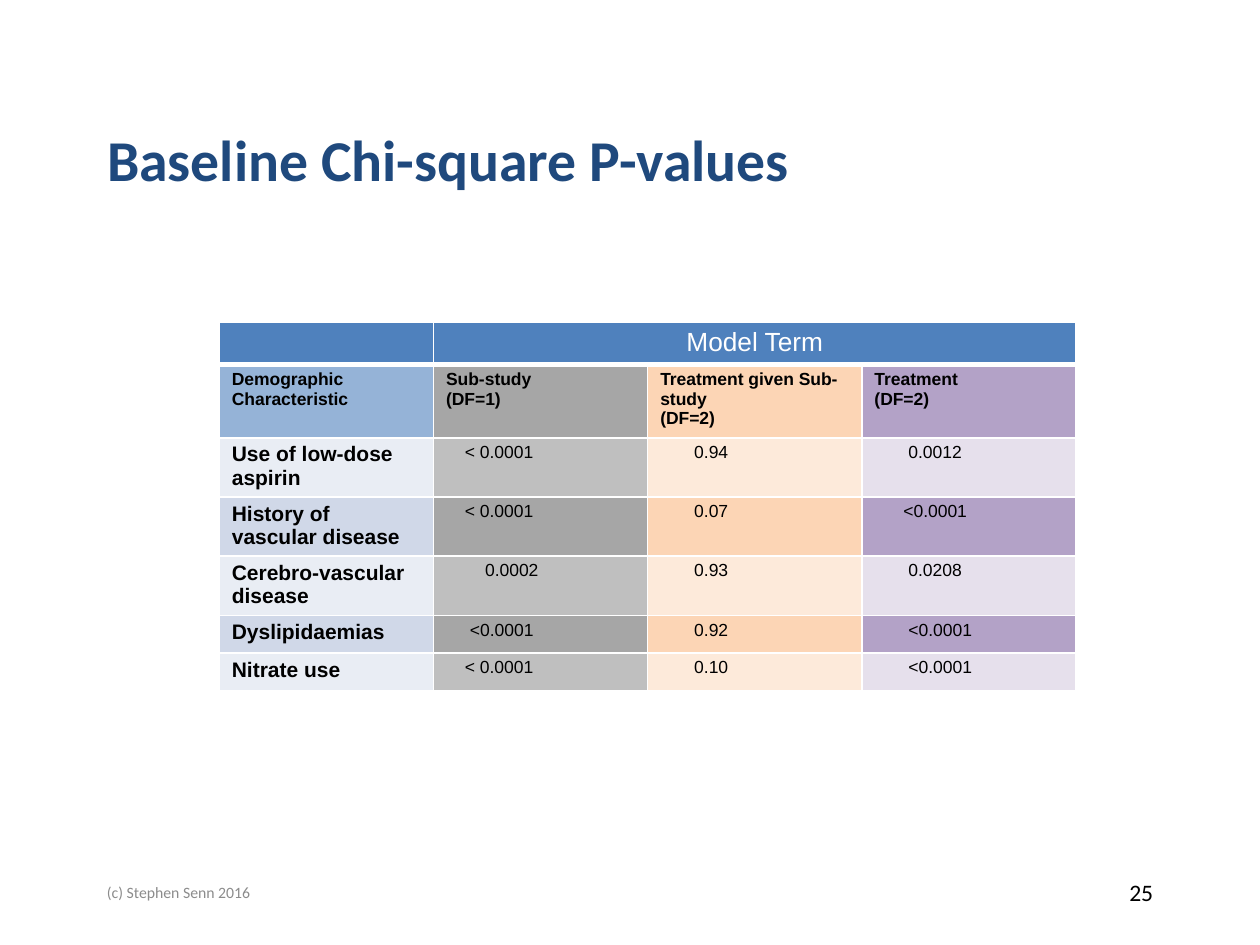
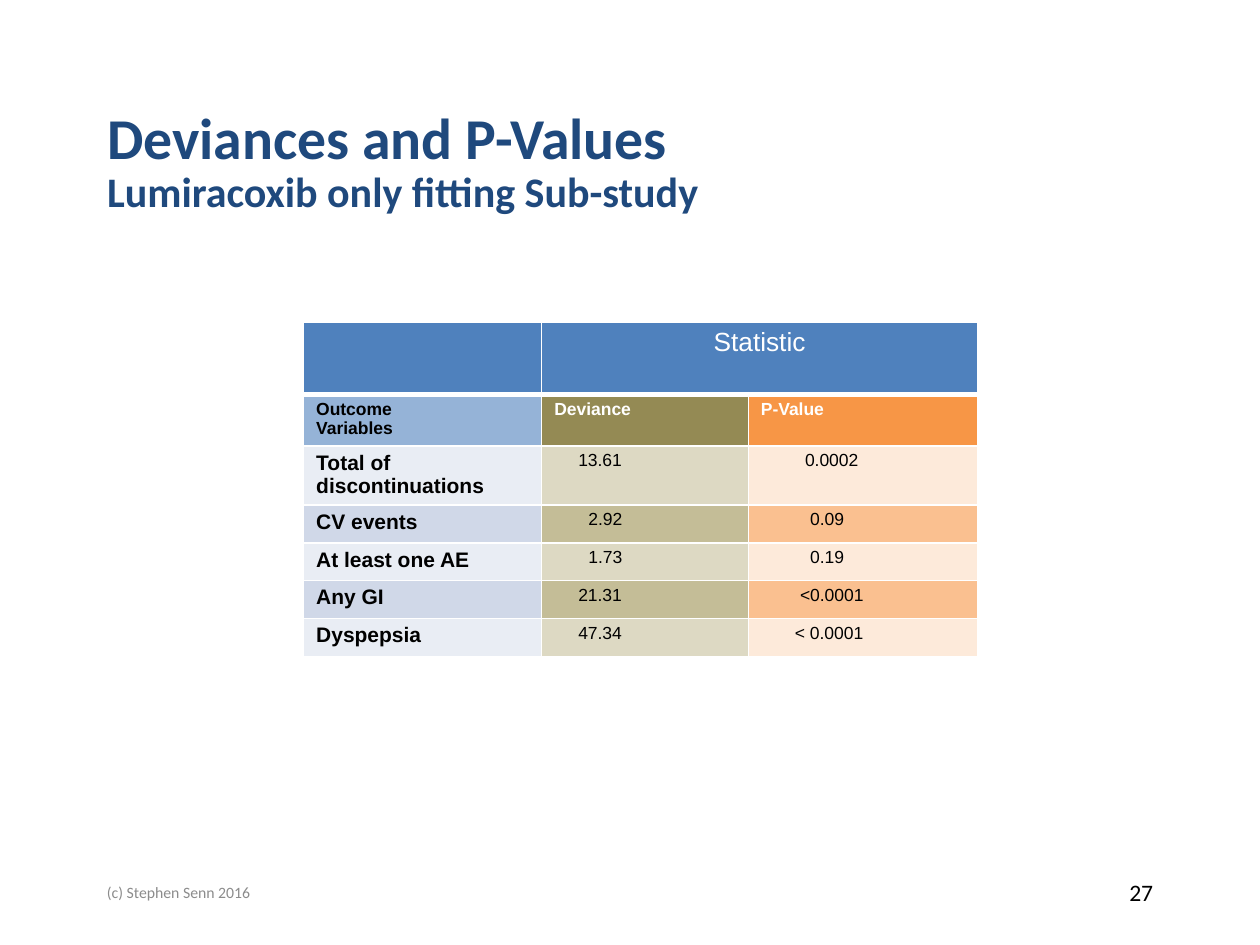
from dataclasses import dataclass

from lxml import etree
from pptx import Presentation
from pptx.dml.color import RGBColor
from pptx.enum.text import MSO_ANCHOR, MSO_AUTO_SIZE, PP_ALIGN
from pptx.oxml.ns import qn
from pptx.util import Inches, Pt

LEFT, CENTER, RIGHT = PP_ALIGN.LEFT, PP_ALIGN.CENTER, PP_ALIGN.RIGHT
MIDDLE = MSO_ANCHOR.MIDDLE
NO_AUTOFIT = MSO_AUTO_SIZE.NONE
TITLE_ONLY = 5

# Shared colours and fonts
NAVY = RGBColor(0x1F, 0x49, 0x7D)
BLUE = RGBColor(0x4F, 0x81, 0xBD)
SOFT_BLUE = RGBColor(0x95, 0xB3, 0xD7)
ICE = RGBColor(0xE9, 0xED, 0xF4)
MIST = RGBColor(0xD0, 0xD8, 0xE8)
GREY = RGBColor(0xA6, 0xA6, 0xA6)
LIGHT_GREY = RGBColor(0xBF, 0xBF, 0xBF)
PEACH = RGBColor(0xFC, 0xD5, 0xB5)
PALE_PEACH = RGBColor(0xFD, 0xEA, 0xDA)
PURPLE = RGBColor(0xB3, 0xA2, 0xC7)
PALE_PURPLE = RGBColor(0xE6, 0xE0, 0xEC)
OLIVE = RGBColor(0x94, 0x8A, 0x54)
SAND = RGBColor(0xC4, 0xBD, 0x97)
PALE_SAND = RGBColor(0xDD, 0xD9, 0xC3)
ORANGE = RGBColor(0xF7, 0x96, 0x46)
SOFT_ORANGE = RGBColor(0xFA, 0xC0, 0x90)
FOOTER_GREY = RGBColor(0x8C, 0x8C, 0x8C)
BLACK = RGBColor(0, 0, 0)
WHITE = RGBColor(0xFF, 0xFF, 0xFF)
TITLE_FONT, TABLE_FONT = "Calibri", "Arial"
CELL_INSET = 0.1


@dataclass(frozen=True)
class Style:
    size: float
    color: RGBColor = BLACK
    bold: bool = False
    font: str = TABLE_FONT


TITLE = Style(33, NAVY, True, TITLE_FONT)
SUBTITLE = Style(24, NAVY, True, TITLE_FONT)
PAGE_NUMBER = Style(13.5, BLACK, False, TITLE_FONT)
COPYRIGHT = Style(9, FOOTER_GREY, False, TITLE_FONT)
SPANNER = Style(15, WHITE)
HEADING = Style(10, BLACK, True)
LIGHT_HEADING = Style(10, WHITE, True)
LABEL = Style(12, BLACK, True)
VALUE = Style(10)


@dataclass(frozen=True)
class Column:
    """A table column; each value comes with its indent in inches."""
    width: float
    heading: list[str]
    heading_fill: RGBColor
    fills: tuple[RGBColor, RGBColor]
    values: list[tuple[str, float]]
    heading_style: Style = HEADING
    value_style: Style = VALUE


@dataclass(frozen=True)
class TablePage:
    number: int
    title: list[tuple[str, Style]]
    spanner: str
    left: float
    row_heights: list[float]
    columns: list[Column]


def label_column(width: float, heading: list[str], labels: list[str]) -> Column:
    return Column(width, heading, SOFT_BLUE, (ICE, MIST),
                  [(label, 0) for label in labels], value_style=LABEL)


PAGES = [
    TablePage(
        25, [("Baseline Chi-square P-values", TITLE)], "Model Term", 1.74,
        [0.33, 0.58, 0.47, 0.47, 0.47, 0.3, 0.3],
        [
            label_column(1.7, ["Demographic Characteristic"],
                         ["Use of low-dose aspirin", "History of vascular disease",
                          "Cerebro-vascular disease", "Dyslipidaemias", "Nitrate use"]),
            Column(1.7, ["Sub-study", "(DF=1)"], GREY, (LIGHT_GREY, GREY),
                   [("< 0.0001", 0.15), ("< 0.0001", 0.15), ("0.0002", 0.31),
                    ("<0.0001", 0.19), ("< 0.0001", 0.15)]),
            Column(1.7, ["Treatment given Sub-study", "(DF=2)"], PEACH, (PALE_PEACH, PEACH),
                   [(value, 0.27) for value in ("0.94", "0.07", "0.93", "0.92", "0.10")]),
            Column(1.7, ["Treatment", "(DF=2)"], PURPLE, (PALE_PURPLE, PURPLE),
                   [("0.0012", 0.27), ("<0.0001", 0.23), ("0.0208", 0.27),
                    ("<0.0001", 0.27), ("<0.0001", 0.27)]),
        ]),
    TablePage(
        27, [("Deviances and P-Values", TITLE), ("Lumiracoxib only fitting Sub-study", SUBTITLE)],
        "Statistic", 2.41,
        [0.57, 0.41, 0.47, 0.3, 0.3, 0.3, 0.3],
        [
            label_column(1.89, ["Outcome", "Variables"],
                         ["Total of discontinuations", "CV events", "At least one AE",
                          "Any GI", "Dyspepsia"]),
            Column(1.64, ["Deviance"], OLIVE, (PALE_SAND, SAND),
                   [("13.61", 0.19), ("2.92", 0.27), ("1.73", 0.27),
                    ("21.31", 0.19), ("47.34", 0.19)], LIGHT_HEADING),
            Column(1.82, ["P-Value"], ORANGE, (PALE_PEACH, SOFT_ORANGE),
                   [("0.0002", 0.35), ("0.09", 0.39), ("0.19", 0.39),
                    ("<0.0001", 0.31), ("< 0.0001", 0.27)], LIGHT_HEADING),
        ]),
]


def add_span(para, text: str, style: Style) -> None:
    span = para.add_run()
    span.text = text
    span.font.name = style.font
    span.font.size = Pt(style.size)
    span.font.bold = style.bold
    span.font.color.rgb = style.color


def set_borders(cell, bottom: float) -> None:
    """Give the cell white edges; they come before the fill in the XML."""
    properties = cell._tc.get_or_add_tcPr()
    widths = {"a:lnL": 1, "a:lnR": 1, "a:lnT": 1, "a:lnB": bottom}
    for position, (tag, width) in enumerate(widths.items()):
        line = etree.Element(qn(tag), w=str(Pt(width)))
        fill = etree.SubElement(line, qn("a:solidFill"))
        etree.SubElement(fill, qn("a:srgbClr"), val=str(WHITE))
        properties.insert(position, line)


def fill_cell(cell, lines: list[str], style: Style, fill: RGBColor,
              indent: float = 0, align=LEFT, bottom: float = 1) -> None:
    cell.fill.solid()
    cell.fill.fore_color.rgb = fill
    set_borders(cell, bottom)
    cell.margin_left = Inches(CELL_INSET + indent)
    cell.margin_right = Inches(CELL_INSET)
    cell.margin_top = cell.margin_bottom = Inches(0.04)
    frame = cell.text_frame
    for index, text in enumerate(lines):
        para = frame.add_paragraph() if index else frame.paragraphs[0]
        para.alignment = align
        add_span(para, text, style)
    if not lines:  # keeps an empty cell from stretching its row
        etree.SubElement(frame.paragraphs[0]._p, qn("a:endParaRPr"), sz=str(style.size * 100))


def add_title(page, lines: list[tuple[str, Style]]) -> None:
    title = page.shapes.title
    title.left, title.top = Inches(0.75), Inches(0.67)
    title.width, title.height = Inches(8.5), Inches(1.25)
    frame = title.text_frame
    frame.auto_size = NO_AUTOFIT
    frame.vertical_anchor = MIDDLE
    para = frame.paragraphs[0]
    para.alignment = LEFT
    para.line_spacing = 0.9
    for index, (text, style) in enumerate(lines):
        if index:
            para.add_line_break()
        add_span(para, text, style)


def add_footer(page, left: float, text: str, style: Style, align) -> None:
    box = page.shapes.add_textbox(Inches(left), Inches(6.83), Inches(2.08), Inches(0.5))
    frame = box.text_frame
    frame.word_wrap = True
    frame.vertical_anchor = MIDDLE
    para = frame.paragraphs[0]
    para.alignment = align
    add_span(para, text, style)


def add_results_table(page, content: TablePage) -> None:
    columns, heights = content.columns, content.row_heights
    table = page.shapes.add_table(
        len(heights), len(columns), Inches(content.left), Inches(2.56),
        Inches(sum(column.width for column in columns)), Inches(sum(heights))).table
    for row, height in zip(table.rows, heights):
        row.height = Inches(height)

    # Spanning header, column headings, then banded values
    for index, column in enumerate(columns):
        table.columns[index].width = Inches(column.width)
        spanner = [content.spanner] if index == 1 else []
        fill_cell(table.cell(0, index), spanner, SPANNER, BLUE, align=CENTER, bottom=3)
        fill_cell(table.cell(1, index), column.heading, column.heading_style, column.heading_fill)
        for band, (text, indent) in enumerate(column.values):
            fill_cell(table.cell(band + 2, index), [text], column.value_style,
                      column.fills[band % 2], indent)
    table.cell(0, 1).merge(table.cell(0, len(columns) - 1))


def main() -> None:
    deck = Presentation()
    deck.slide_width, deck.slide_height = Inches(10), Inches(7.5)
    for content in PAGES:
        page = deck.slides.add_slide(deck.slide_layouts[TITLE_ONLY])
        add_title(page, content.title)
        add_results_table(page, content)
        add_footer(page, 7.17, str(content.number), PAGE_NUMBER, RIGHT)
        add_footer(page, 0.75, "(c) Stephen Senn 2016", COPYRIGHT, LEFT)
    deck.save("out.pptx")


if __name__ == "__main__":
    main()
